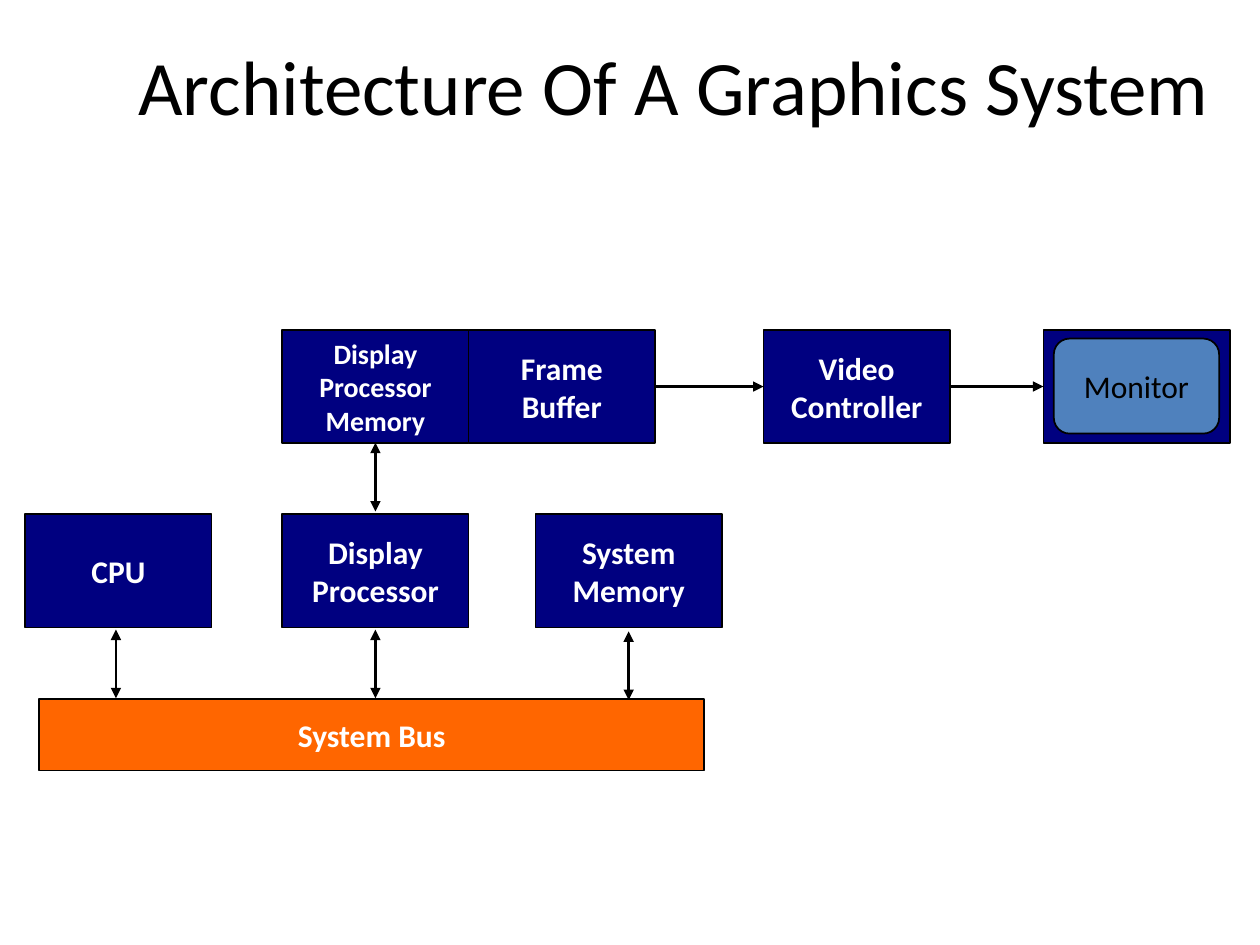
from lxml.etree import SubElement
from pptx import Presentation
from pptx.dml.color import RGBColor
from pptx.enum.shapes import MSO_CONNECTOR as Connector, MSO_SHAPE as Shape
from pptx.enum.text import MSO_ANCHOR as Anchor, PP_ALIGN as Align
from pptx.oxml.ns import qn
from pptx.util import Pt

COLORS = {"text": "000000", "line": "000000", "label": "FFFFFF",
          "unit": "000080", "bus": "FF6600", "screen": "4F81BD"}
FONT = "Calibri"
UNIT_WIDTH, UNIT_HEIGHT = 106.5, 64.8


def color(name):
    return RGBColor.from_string(COLORS[name])


def set_text(frame, text, size, ink, bold=False):
    frame.text = text
    frame.vertical_anchor = Anchor.MIDDLE
    para = frame.paragraphs[0]
    para.alignment = Align.CENTER
    para.font.name = FONT
    para.font.size = Pt(size)
    para.font.bold = bold
    para.font.color.rgb = color(ink)


def add_block(page, box, fill, text="", size=18, ink="label", bold=True,
              kind=Shape.RECTANGLE):
    block = page.shapes.add_shape(kind, *map(Pt, box))
    block.shadow.inherit = False
    block.fill.solid()
    block.fill.fore_color.rgb = color(fill)
    block.line.color.rgb = color("line")
    block.line.width = Pt(1)
    if text:
        set_text(block.text_frame, text, size, ink, bold)
    return block


def add_arrow(page, start, end, double=False):
    arrow = page.shapes.add_connector(Connector.STRAIGHT, *map(Pt, start + end))
    arrow.line.color.rgb = color("line")
    arrow.line.width = Pt(1.5)
    outline = arrow.line._get_or_add_ln()
    for tag in ("a:headEnd", "a:tailEnd") if double else ("a:tailEnd",):
        SubElement(outline, qn(tag), type="triangle")
    SubElement(arrow._element.spPr, qn("a:effectLst"))


def add_title(page, box):
    title = page.shapes.title
    title.left, title.top, title.width, title.height = map(Pt, box)
    set_text(title.text_frame, "Architecture Of A Graphics System", 44, "text")


def add_monitor(page, box):
    left, top, width, height = box
    add_block(page, box, "unit")
    screen = add_block(page, (left + 6, top + 5, width - 12, height - 10.5),
                       "screen", "Monitor", ink="text", bold=False,
                       kind=Shape.ROUNDED_RECTANGLE)
    screen.text_frame.word_wrap = False


def add_display_row(page, box):
    """Memory and frame buffer, feeding the controller and then the monitor."""
    left, top, width, height = box
    buffer_left, controller_left = left + UNIT_WIDTH, left + 275
    monitor_left = left + width - UNIT_WIDTH
    units = [(left, "Display Processor Memory", 16),
             (buffer_left, "Frame Buffer", 18),
             (controller_left, "Video Controller", 18)]
    for unit_left, text, size in units:
        add_block(page, (unit_left, top, UNIT_WIDTH, height), "unit", text, size)
    add_monitor(page, (monitor_left, top, UNIT_WIDTH, height))
    middle = top + height / 2
    for source, target in ((buffer_left, controller_left),
                           (controller_left, monitor_left)):
        add_arrow(page, (source + UNIT_WIDTH, middle), (target, middle))


def add_bus_row(page, box):
    """Three units, each linked to the system bus below them."""
    left, top, width, height = box
    bus_height = 41
    bus_top = top + height - bus_height
    add_block(page, (left + 8, bus_top, width - 18, bus_height), "bus", "System Bus")
    units = [(left, "CPU", -1.4, 0), (left + 146.9, "Display Processor", 0, 0),
             (left + 291.6, "System Memory", 0, 1)]
    for unit_left, text, shift, drop in units:
        add_block(page, (unit_left, top, UNIT_WIDTH, UNIT_HEIGHT), "unit", text)
        center = unit_left + UNIT_WIDTH / 2 + shift
        add_arrow(page, (center, bus_top - 39.6 + drop),
                  (center, bus_top - 0.4 + drop), double=True)


def main():
    deck = Presentation()
    deck.slide_width, deck.slide_height = Pt(720), Pt(540)
    page = deck.slides.add_slide(deck.slide_layouts[5])

    # Title
    add_title(page, (50.4, 0, 669.6, 97.2))
    # Units on the system bus
    add_bus_row(page, (14.4, 293.9, 398, 146.5))
    # Display chain
    add_display_row(page, (161.3, 188.5, 541.4, UNIT_HEIGHT))
    # Link between the display processor and its memory
    add_arrow(page, (214.55, 253), (214.55, 292.3), double=True)

    deck.save("out.pptx")


if __name__ == "__main__":
    main()
